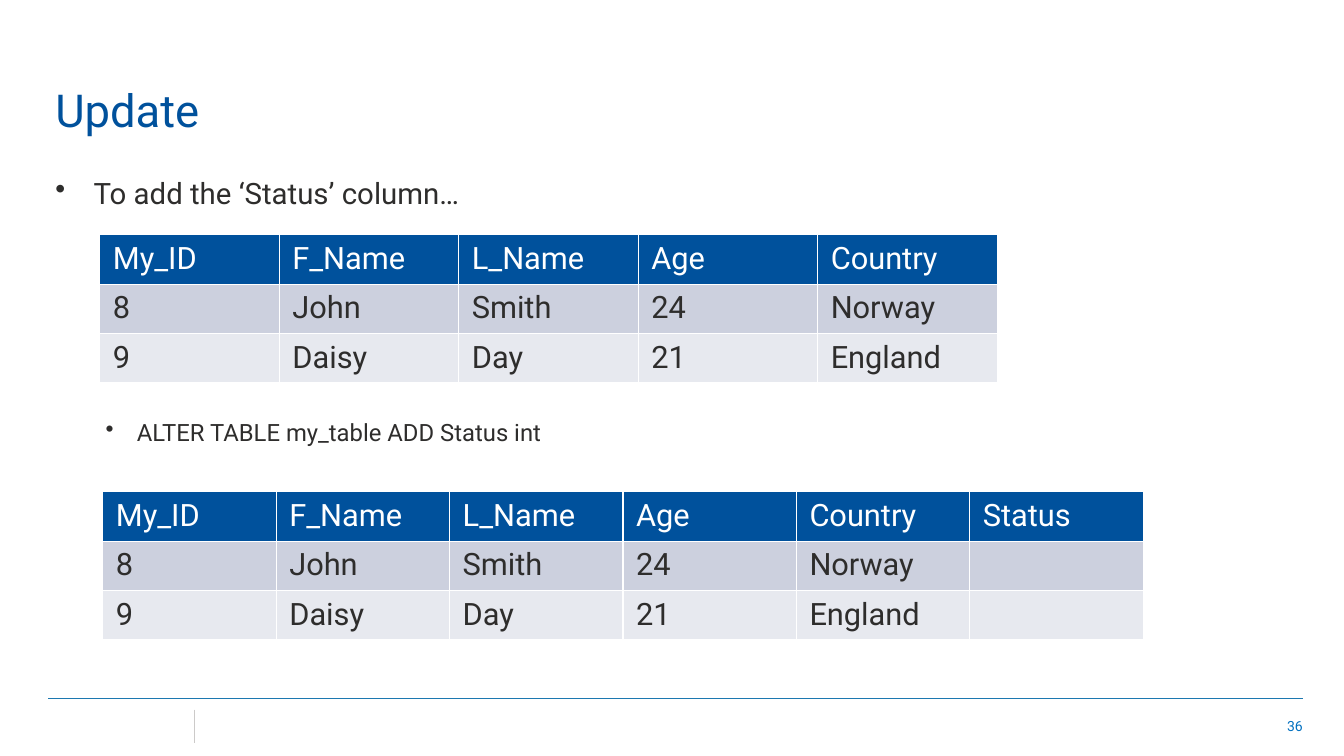
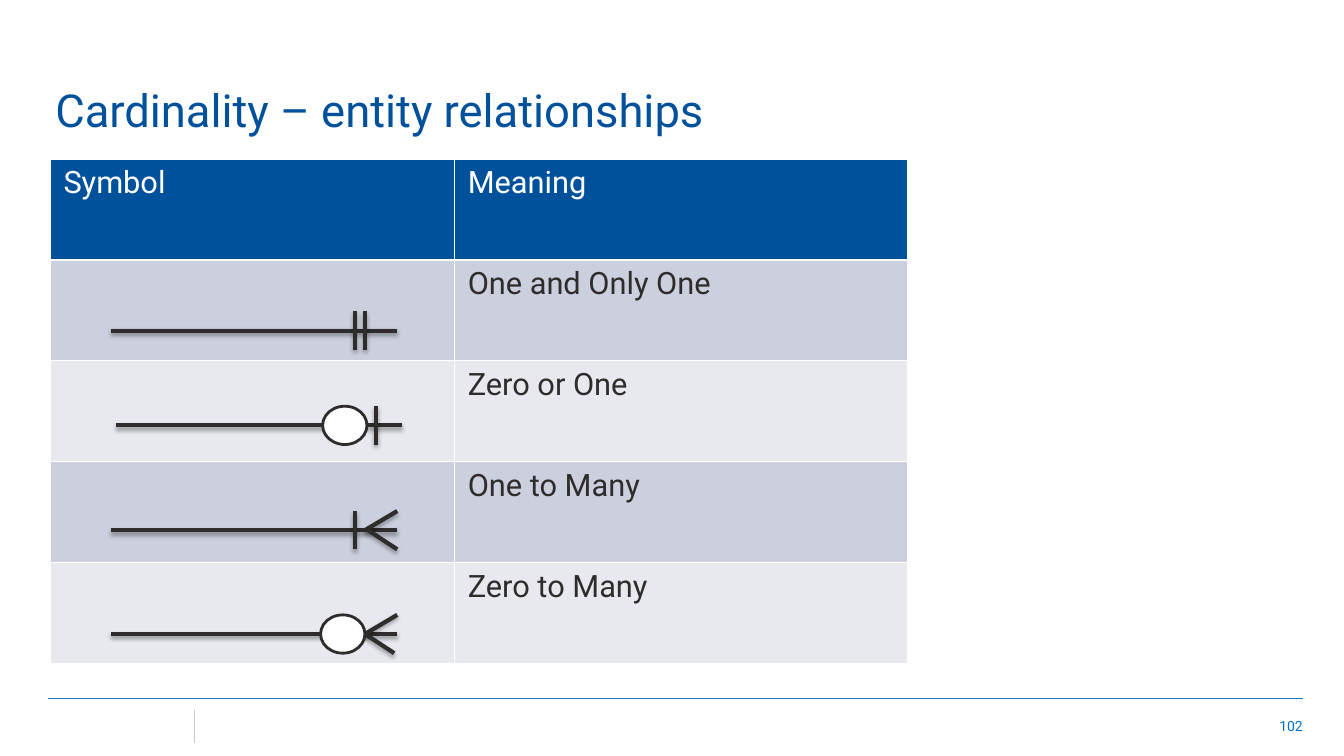
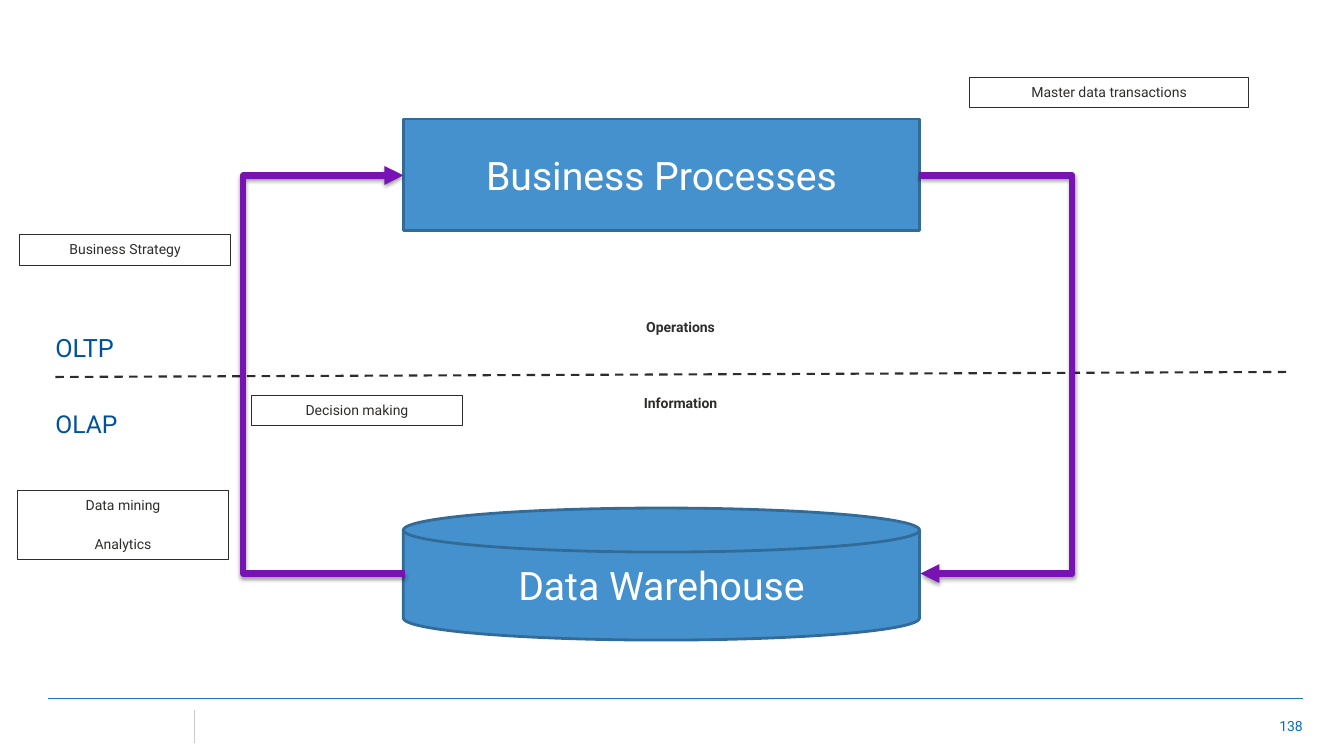
from lxml import etree
from pptx import Presentation
from pptx import util as u
from pptx.dml.color import RGBColor
from pptx.enum import dml, shapes, text
from pptx.oxml import ns, parse_xml

Inches, Pt = u.Inches, u.Pt
rgb = RGBColor.from_string
FONT = "Roboto"
NAVY, INK, WHITE, PURPLE = "00519C", "2E2D2C", "FFFFFF", "7713B2"
BANDS = ["CCD0DE", "E7E9EF"]
LEFT, CENTER, RIGHT = text.PP_ALIGN.LEFT, text.PP_ALIGN.CENTER, text.PP_ALIGN.RIGHT
TOP, MIDDLE, BOTTOM = text.MSO_ANCHOR.TOP, text.MSO_ANCHOR.MIDDLE, text.MSO_ANCHOR.BOTTOM
STRAIGHT, ELBOW = shapes.MSO_CONNECTOR.STRAIGHT, shapes.MSO_CONNECTOR.ELBOW
SHAPE = shapes.MSO_SHAPE


def write(box, lines, size, colour, align=LEFT, anchor=TOP, inset=(0.1, 0.05), bold=False):
    frame = box.text_frame
    frame.word_wrap = True
    frame.vertical_anchor = anchor
    frame.margin_left = frame.margin_right = Inches(inset[0])
    frame.margin_top = frame.margin_bottom = Inches(inset[1])
    frame.text = "\n".join(lines)
    for para in frame.paragraphs:
        para.alignment = align
        for span in para.runs:
            span.font.name, span.font.size, span.font.bold = FONT, Pt(size), bold
            span.font.color.rgb = rgb(colour)
    return frame


def draw_line(page, begin, end, colour, width, shadow=0, kind=STRAIGHT):
    line = page.shapes.add_connector(kind, *[Inches(v) for v in (*begin, *end)])
    line.line.color.rgb = rgb(colour)
    line.line.width = Pt(width)
    effects = etree.SubElement(line._element.spPr, ns.qn("a:effectLst"))
    if shadow:
        effects.append(parse_xml(
            f'<a:outerShdw {ns.nsdecls("a")} blurRad="39370" dist="22860" dir="5400000" rotWithShape="0">'
            f'<a:srgbClr val="000000"><a:alpha val="{shadow * 1000}"/></a:srgbClr></a:outerShdw>'))
    return line


deck = Presentation()
deck.slide_width, deck.slide_height = Inches(13.33), Inches(7.5)

# Titles and footers
pages = []
for number, title, top, size in [
    (36, "Update", 0.71, 32.4),
    (102, "Cardinality – entity relationships", 0.71, 32.4),
    (138, "OLTP", 2.96, 18),
]:
    page = deck.slides.add_slide(deck.slide_layouts[6])
    pages.append(page)
    box = page.shapes.add_textbox(Inches(9.91), Inches(7), Inches(3.11), Inches(0.4))
    write(box, [str(number)], 10, "0070C0", RIGHT, MIDDLE)
    draw_line(page, (0.48, 6.93), (12.92, 6.93), "1C78B0", 0.25)
    draw_line(page, (1.93, 7.04), (1.93, 7.37), "CCCAC9", 0.25)
    box = page.shapes.add_textbox(Inches(0.45), Inches(top), Inches(9.98), Inches(0.69))
    write(box, [title], size, NAVY, anchor=BOTTOM)
update_page, cardinality_page, process_page = pages

# Update: bullets, with room for the first table between them
box = update_page.shapes.add_textbox(Inches(0.45), Inches(1.69), Inches(12.47), Inches(4.97))
frame = write(box, ["To add the ‘Status’ column…", "ALTER TABLE my_table ADD Status int"], 21, INK)
for para, margin, hanging in zip(frame.paragraphs, (0.38, 0.81), (0.38, 0.31)):
    props = para._p.get_or_add_pPr()
    props.set("marL", str(Inches(margin)))
    props.set("indent", str(-Inches(hanging)))
    etree.SubElement(props, ns.qn("a:buChar")).set("char", "•")
    para.space_after = Pt(8)
command = frame.paragraphs[1]
command.space_before = Pt(140)
command.runs[0].font.size = Pt(17)

# Tables
people = [
    ["My_ID", "F_Name", "L_Name", "Age", "Country"],
    ["8", "John", "Smith", "24", "Norway"],
    ["9", "Daisy", "Day", "21", "England"],
]
people_with_status = [row + [status] for row, status in zip(people, ["Status", "", ""])]
meanings = [["Symbol", "Meaning"]] + [
    ["", meaning] for meaning in ("One and Only One", "Zero or One", "One to Many", "Zero to Many")]

for page, left, top, widths, height, rows in [
    (update_page, 0.99, 2.33, [1.78] * 5, 0.49, people),
    (update_page, 1.02, 4.88, [1.72] * 6, 0.49, people_with_status),
    (cardinality_page, 0.5, 1.58, [4.01, 4.49], 1, meanings),
]:
    table = page.shapes.add_table(
        len(rows), len(widths), Inches(left), Inches(top),
        Inches(sum(widths)), Inches(height * len(rows))).table
    for column, width in zip(table.columns, widths):
        column.width = Inches(width)
    for r, row in enumerate(rows):
        table.rows[r].height = Inches(height)
        for c, value in enumerate(row):
            cell = table.cell(r, c)
            cell.fill.solid()
            cell.fill.fore_color.rgb = rgb(BANDS[(r - 1) % 2] if r else NAVY)
            cell.margin_left = cell.margin_right = Inches(0.13)
            cell.margin_top = cell.margin_bottom = Inches(0.06)
            para = cell.text_frame.paragraphs[0]
            para.text = value
            para.font.name, para.font.size, para.font.bold = FONT, Pt(22), False
            for span in para.runs:
                span.font.name, span.font.size, span.font.bold = FONT, Pt(22), False
                span.font.color.rgb = rgb(INK if r else WHITE)
            for i, side in enumerate(("lnL", "lnR", "lnT", "lnB")):
                cell._tc.get_or_add_tcPr().insert(i, parse_xml(
                    f'<a:{side} {ns.nsdecls("a")} w="{Pt(1)}"><a:solidFill>'
                    f'<a:srgbClr val="{WHITE}"/></a:solidFill></a:{side}>'))

# Cardinality symbols: stem, bars, circle for zero, crow's foot for many
for stem, y, bars, circle, foot in [
    (1.1, 3.28, [3.52, 3.62], None, []),
    (1.15, 4.22, [3.73], 3.2, []),
    (1.1, 5.26, [3.52], None, [(3.62, 3.94, -0.19), (3.65, 3.94, 0.19)]),
    (1.1, 6.29, [], 3.18, [(3.62, 3.94, -0.19), (3.62, 3.91, 0.19)]),
]:
    strokes = [((stem, y), (stem + 2.84, y))]
    strokes += [((x, y - 0.19), (x, y + 0.19)) for x in bars]
    strokes += [((x, y), (tip, y + rise)) for x, tip, rise in foot]
    for begin, end in strokes:
        draw_line(cardinality_page, begin, end, INK, 3, shadow=35)
    if circle:
        zero = cardinality_page.shapes.add_shape(
            SHAPE.OVAL, Inches(circle), Inches(y - 0.19), Inches(0.44), Inches(0.38))
        zero.shadow.inherit = False
        zero.fill.solid()
        zero.fill.fore_color.rgb = rgb(WHITE)
        zero.line.color.rgb = rgb(INK)
        zero.line.width = Pt(2)

# Divider between operations and information
divider = draw_line(process_page, (0.55, 3.74), (12.78, 3.69), "2D2C2B", 1.5)
divider.line.dash_style = dml.MSO_LINE.DASH

# Process and warehouse
for kind, top, height, label in [
    (SHAPE.RECTANGLE, 1.18, 1.11, "Business Processes"),
    (SHAPE.FLOWCHART_MAGNETIC_DISK, 5.04, 1.31, "Data Warehouse"),
]:
    block = process_page.shapes.add_shape(kind, Inches(4), Inches(top), Inches(5.12), Inches(height))
    block.shadow.inherit = False
    block.fill.solid()
    block.fill.fore_color.rgb = rgb("4591CE")
    block.line.color.rgb = rgb("336B98")
    block.line.width = Pt(2)
    write(block, [label], 28, WHITE, CENTER, MIDDLE, (0.13, 0.06))

# Loop arrows, each bending at the x of its far side
for begin, end, bend in [((9.11, 1.74), (9.13, 5.69), 10.63), ((4.02, 5.69), (4, 1.74), 2.42)]:
    arrow = draw_line(process_page, begin, end, PURPLE, 4.5, shadow=38, kind=ELBOW)
    share = (bend - begin[0]) / (end[0] - begin[0])
    guide = etree.SubElement(arrow._element.spPr.prstGeom.get_or_add_avLst(), ns.qn("a:gd"))
    guide.set("name", "adj1")
    guide.set("fmla", f"val {round(share * 100000)}")
    etree.SubElement(arrow.line._get_or_add_ln(), ns.qn("a:tailEnd")).set("type", "triangle")

# Framed labels
for left, top, width, height, lines in [
    (9.62, 0.77, 2.76, 0.3, ["Master data transactions"]),
    (0.17, 4.87, 2.1, 0.68, ["Data mining", "Analytics"]),
    (2.49, 3.92, 2.1, 0.3, ["Decision making"]),
    (0.19, 2.33, 2.1, 0.3, ["Business Strategy"]),
]:
    label = process_page.shapes.add_shape(
        SHAPE.RECTANGLE, Inches(left), Inches(top), Inches(width), Inches(height))
    label.shadow.inherit = False
    label.fill.background()
    label.line.color.rgb = rgb(INK)
    label.line.width = Pt(0.75)
    frame = write(label, lines, 10, INK, CENTER, inset=(0.13, 0.06))
    for para in frame.paragraphs[:-1]:
        para.space_after = Pt(15.4)

# Plain labels
for top, label in [(3.1, "Operations"), (3.85, "Information")]:
    box = process_page.shapes.add_textbox(Inches(4.8), Inches(top), Inches(3.9), Inches(0.3))
    write(box, [label], 10, INK, CENTER, inset=(0.13, 0.06), bold=True)
box = process_page.shapes.add_textbox(Inches(0.45), Inches(3.71), Inches(9.98), Inches(0.69))
write(box, ["OLAP"], 17.6, NAVY, anchor=BOTTOM)

deck.save("out.pptx")
